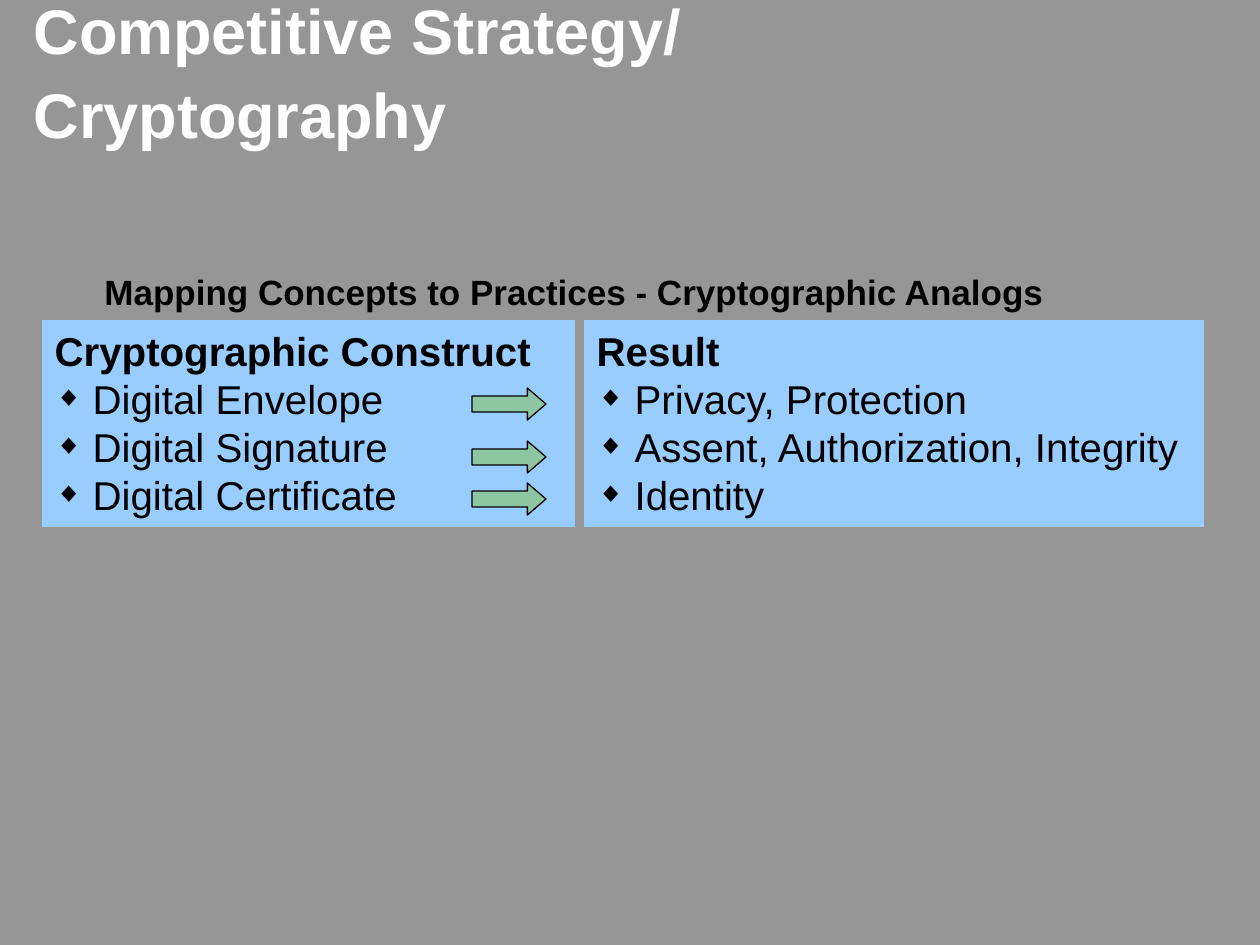
from lxml import etree
from pptx import Presentation
from pptx.dml.color import RGBColor
from pptx.enum.shapes import MSO_SHAPE
from pptx.enum.text import MSO_ANCHOR, MSO_AUTO_SIZE, PP_ALIGN
from pptx.oxml.ns import qn
from pptx.util import Emu, Inches, Pt

RIGHT_ARROW = MSO_SHAPE.RIGHT_ARROW
TOP, MIDDLE = MSO_ANCHOR.TOP, MSO_ANCHOR.MIDDLE
NO_AUTOFIT = MSO_AUTO_SIZE.NONE
LEFT = PP_ALIGN.LEFT

GREY = RGBColor(0x96, 0x96, 0x96)
WHITE = RGBColor(0xFF, 0xFF, 0xFF)
BLACK = RGBColor(0x00, 0x00, 0x00)
SKY = RGBColor(0x99, 0xCC, 0xFF)
GREEN = RGBColor(0x8C, 0xC6, 0xA2)

SCALE = 914400 / 126
PANEL_TOP, PANEL_HEIGHT = 320, 207
BULLET_INDENT = 38
ARROW_TOPS = (388, 441, 483)


def px(length):
    return Emu(round(length * SCALE))


class SlideBuilder:
    font_name = "Arial"

    def __init__(self, slide):
        self.slide = slide
        slide.background.fill.solid()
        slide.background.fill.fore_color.rgb = GREY

    def place(self, shape, box):
        for side, length in zip(("left", "top", "width", "height"), box):
            setattr(shape, side, px(length))

    def frame(self, shape, anchor):
        frame_format = {
            "word_wrap": True,
            "auto_size": NO_AUTOFIT,
            "vertical_anchor": anchor,
            "margin_left": Inches(0.1),
            "margin_right": Inches(0.1),
            "margin_top": Inches(0.05),
            "margin_bottom": Inches(0.05),
        }
        for name, value in frame_format.items():
            setattr(shape.text_frame, name, value)
        return shape.text_frame

    def set_text(self, paragraph, text, size, color=BLACK, bold=True, spacing=1.0):
        paragraph.text = text
        paragraph_format = {
            "alignment": LEFT,
            "line_spacing": spacing,
            "space_before": Pt(0),
            "space_after": Pt(0),
        }
        for name, value in paragraph_format.items():
            setattr(paragraph, name, value)
        font_format = {"name": self.font_name, "size": Pt(size), "bold": bold}
        for name, value in font_format.items():
            setattr(paragraph.font, name, value)
        paragraph.font.color.rgb = color

    def title(self, text, box):
        title = self.slide.shapes.title
        self.place(title, box)
        heading = self.frame(title, MIDDLE).paragraphs[0]
        self.set_text(heading, text, 36, WHITE, spacing=1.1)

    def caption(self, text, box):
        caption = self.slide.shapes.add_textbox(*map(px, box))
        self.set_text(self.frame(caption, MIDDLE).paragraphs[0], text, 20)

    def bullet(self, paragraph, marked):
        properties = paragraph._p.get_or_add_pPr()
        indent = px(BULLET_INDENT) if marked else 0
        properties.set("marL", str(indent))
        properties.set("indent", str(-indent))
        if not marked:
            etree.SubElement(properties, qn("a:buNone"))
            return
        color = etree.SubElement(properties, qn("a:buClr"))
        etree.SubElement(color, qn("a:srgbClr"), val=str(BLACK))
        etree.SubElement(properties, qn("a:buSzPct"), val="70000")
        etree.SubElement(properties, qn("a:buFont"), typeface=self.font_name)
        etree.SubElement(properties, qn("a:buChar"), char="◆")

    def panel(self, index, left, width, heading, items):
        panel = self.slide.placeholders[index]
        self.place(panel, (left, PANEL_TOP, width, PANEL_HEIGHT))
        panel.fill.solid()
        panel.fill.fore_color.rgb = SKY
        frame = self.frame(panel, TOP)
        for row, text in enumerate((heading, *items)):
            paragraph = frame.add_paragraph() if row else frame.paragraphs[0]
            self.bullet(paragraph, row > 0)
            self.set_text(paragraph, text, 23, bold=row == 0, spacing=Pt(27.4))

    def arrow(self, box):
        arrow = self.slide.shapes.add_shape(RIGHT_ARROW, *map(px, box))
        arrow.adjustments[0] = 0.5
        arrow.adjustments[1] = 0.58
        arrow.shadow.inherit = False
        arrow.fill.solid()
        arrow.fill.fore_color.rgb = GREEN
        arrow.line.color.rgb = BLACK
        arrow.line.width = Pt(0.75)


def main():
    presentation = Presentation()
    presentation.slide_width = Inches(10)
    presentation.slide_height = Inches(7.5)
    two_content = presentation.slide_layouts[3]
    builder = SlideBuilder(presentation.slides.add_slide(two_content))

    builder.title("Competitive Strategy/ Cryptography", (21, 21, 1040, 93))
    builder.caption("Mapping Concepts to Practices - Cryptographic Analogs",
                    (92, 268, 1071, 46))
    builder.panel(1, 42, 533, "Cryptographic Construct",
                  ("Digital Envelope", "Digital Signature", "Digital Certificate"))
    builder.panel(2, 584, 620, "Result",
                  ("Privacy, Protection", "Assent, Authorization, Integrity", "Identity"))
    for top in ARROW_TOPS:
        builder.arrow((472, top, 74, 32))

    presentation.save("out.pptx")


if __name__ == "__main__":
    main()
